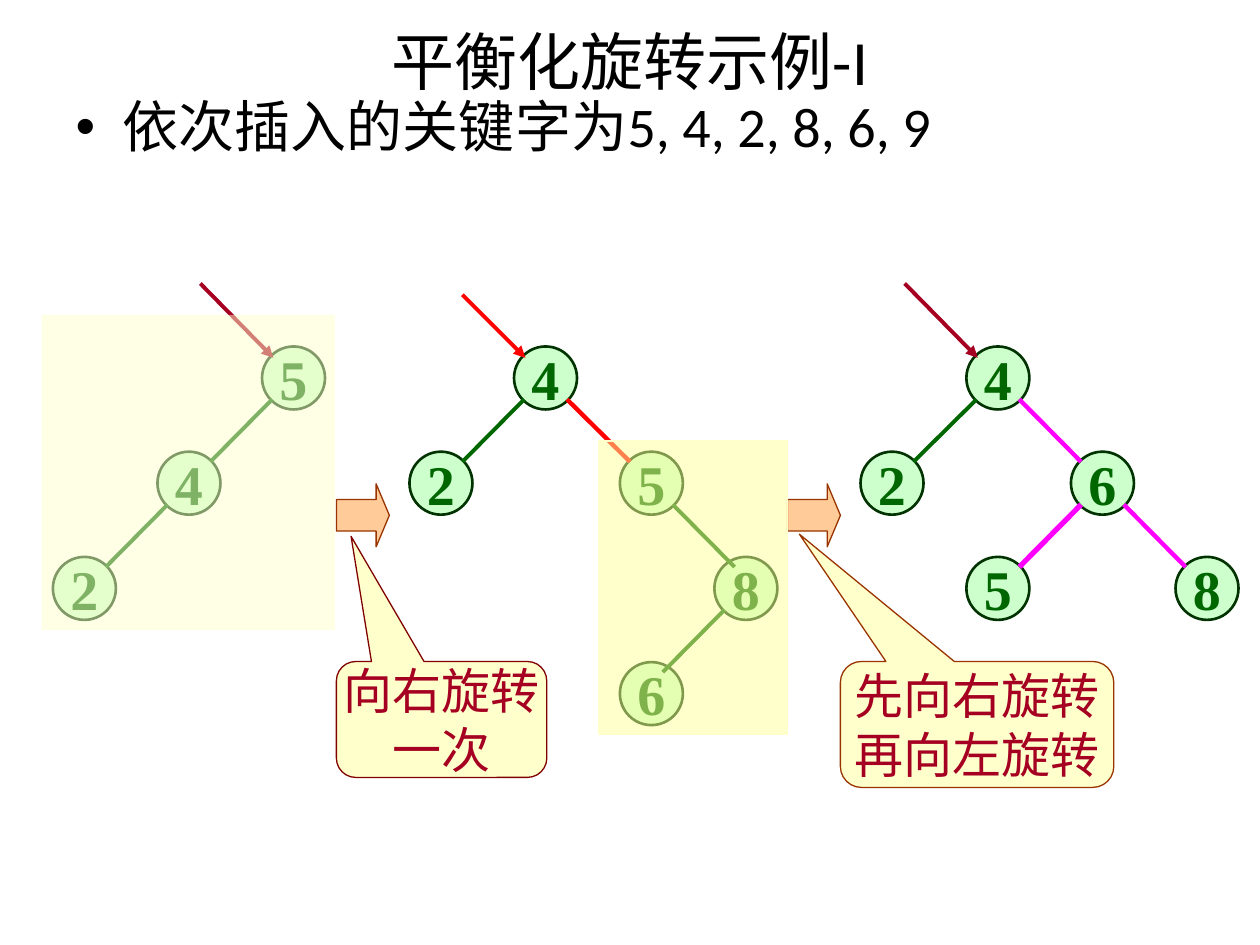
"""Build a slide that shows rotations balancing a binary search tree."""
from dataclasses import dataclass

from lxml import etree
from pptx import Presentation
from pptx import util as u
from pptx.dml.color import RGBColor
from pptx.enum import shapes, text
from pptx.oxml import ns

SHAPE = shapes.MSO_SHAPE
NODE, INSET = 0.5, 0.08
ROW_TOP, ROW_STEP = 2.75, 0.835


@dataclass(frozen=True)
class Theme:
    """Colours, fonts and type sizes of the slide."""
    ink: str = "000000"
    node: str = "CCFFCC"
    node_line: str = "003300"
    green: str = "006600"
    red: str = "FF0000"
    crimson: str = "A50021"
    magenta: str = "FF00FF"
    orange: str = "FFCC99"
    brown: str = "993300"
    maroon: str = "800000"
    cream: str = "FFFFCC"
    yellow: str = "FFFF99"
    sans: str = "Calibri"
    serif: str = "Times New Roman"
    title_size: int = 36
    large_size: int = 32
    callout_size: int = 28


T = Theme()


def write(tf, content, *, size, color, font=T.serif, bold=False,
          align=text.PP_ALIGN.CENTER, anchor=text.MSO_ANCHOR.MIDDLE, wrap=False):
    """Write each line of content as a formatted paragraph."""
    tf.word_wrap, tf.vertical_anchor = wrap, anchor
    tf.auto_size = text.MSO_AUTO_SIZE.NONE
    for i, line in enumerate(content.split("\n")):
        p = tf.add_paragraph() if i else tf.paragraphs[0]
        p.alignment, p.space_before = align, u.Pt(0)
        r = p.add_run()
        r.text = line
        r.font.name, r.font.size, r.font.bold = font, u.Pt(size), bold
        r.font.color.rgb = RGBColor.from_string(color)


def place(sp, left, top, width, height):
    """Move and size a shape, in inches."""
    sp.left, sp.top = u.Inches(left), u.Inches(top)
    sp.width, sp.height = u.Inches(width), u.Inches(height)


def add_box(s, kind, box, fill, line=None, width=0.75, alpha=None, adj=()):
    """Add a filled preset shape, optionally see-through."""
    sp = s.shapes.add_shape(kind, *map(u.Inches, box))
    sp.shadow.inherit = False
    sp.fill.solid()
    sp.fill.fore_color.rgb = RGBColor.from_string(fill)
    if alpha:
        color = sp.fill._xPr.find(".//" + ns.qn("a:srgbClr"))
        etree.SubElement(color, ns.qn("a:alpha"), val=str(alpha * 1000))
    if line:
        sp.line.color.rgb = RGBColor.from_string(line)
        sp.line.width = u.Pt(width)
    else:
        sp.line.fill.background()
    for i, value in enumerate(adj):
        sp.adjustments[i] = value
    return sp


def add_line(s, start, end, color, width=2.25, arrow=False):
    """Add a straight line, optionally with an arrowhead at its end."""
    ends = map(u.Inches, (*start, *end))
    ln = s.shapes.add_connector(shapes.MSO_CONNECTOR.STRAIGHT, *ends)
    ln.line.color.rgb = RGBColor.from_string(color)
    ln.line.width = u.Pt(width)
    if arrow:
        etree.SubElement(ln.line._get_or_add_ln(), ns.qn("a:tailEnd"), type="triangle")
    etree.SubElement(ln._element.spPr, ns.qn("a:effectLst"))


def add_tree(s, nodes, edges, pointer_color, pointer_dx=0.58, pointer_dy=0.59):
    """Draw a tree from {label: (left, row)} whose first node is the root."""
    at = {label: (x, ROW_TOP + row * ROW_STEP) for label, (x, row) in nodes.items()}
    for label, (x, y) in at.items():
        sp = add_box(s, SHAPE.OVAL, (x, y, NODE, NODE), T.node, T.node_line, 1.5)
        write(sp.text_frame, label, size=T.large_size, color=T.green, bold=True)
    for parent, child, color, width, overrun in edges:
        (px, py), (cx, cy) = at[parent], at[child]
        side = 1 if cx > px else -1
        near, far = (NODE - INSET, INSET) if side > 0 else (INSET, NODE - INSET)
        add_line(s, (px + near, py + NODE - INSET),
                 (cx + far + side * overrun, cy + INSET), color, width)
    x, y = next(iter(at.values()))
    x, y = x + 0.09, y + 0.09
    add_line(s, (x - pointer_dx, y - pointer_dy), (x, y), pointer_color, arrow=True)


def add_step(s, left):
    """Add the block arrow that leads to the next tree."""
    add_box(s, SHAPE.RIGHT_ARROW, (left, 3.84, 0.42, 0.5), T.orange, T.brown,
            adj=(0.5, 0.25))


def add_callout(s, box, content, line, tip):
    """Add a rounded callout whose tip is given relative to its size."""
    sp = add_box(s, SHAPE.ROUNDED_RECTANGULAR_CALLOUT, box, T.cream, line,
                 adj=(*tip, 0.167))
    write(sp.text_frame, content, size=T.callout_size, color=T.crimson)


def add_headings(s):
    """Fill the title and body placeholders."""
    title, body = s.shapes.title, s.placeholders[1]
    place(title, 0.5, -0.03, 9, 1.02)
    write(title.text_frame, "平衡化旋转示例-I", size=T.title_size, color=T.ink,
          font=T.sans, wrap=True)
    place(body, 0.5, 0.68, 9, 6.82)
    write(body.text_frame, "依次插入的关键字为5, 4, 2, 8, 6, 9", size=T.large_size,
          color=T.ink, font=T.sans, wrap=True, align=text.PP_ALIGN.LEFT,
          anchor=text.MSO_ANCHOR.TOP)


def main():
    """Build and save the slide."""
    prs = Presentation()
    prs.slide_width, prs.slide_height = u.Inches(10), u.Inches(7.5)
    s = prs.slides.add_slide(prs.slide_layouts[1])
    add_headings(s)

    add_tree(s, {"5": (2.08, 0), "4": (1.25, 1), "2": (0.42, 2)},
             [("5", "4", T.green, 2.25, 0), ("4", "2", T.green, 2.25, 0)], T.crimson)
    add_step(s, 2.67)
    add_tree(s, {"4": (4.08, 0), "2": (3.25, 1), "5": (4.92, 1),
                 "8": (5.67, 2), "6": (4.92, 3)},
             [("4", "2", T.green, 2.25, 0), ("4", "5", T.red, 2.5, 0),
              ("5", "8", T.green, 2.25, 0.08), ("8", "6", T.green, 2.25, 0.08)],
             T.red, pointer_dx=0.5, pointer_dy=0.5)
    add_step(s, 6.25)
    add_box(s, SHAPE.RECTANGLE, (4.75, 3.5, 1.5, 2.33), T.yellow, T.cream, alpha=50)
    add_tree(s, {"4": (7.67, 0), "2": (6.83, 1), "6": (8.5, 1),
                 "5": (7.67, 2), "8": (9.33, 2)},
             [("4", "2", T.green, 2.25, 0), ("4", "6", T.magenta, 2.5, 0),
              ("6", "5", T.magenta, 3, 0), ("6", "8", T.magenta, 2.5, 0)], T.crimson)

    add_callout(s, (2.67, 5.25, 1.67, 0.92), "向右旋转\n一次", T.maroon, (-0.43, -1.58))
    add_callout(s, (6.67, 5.25, 2.17, 1), "先向右旋转\n再向左旋转", T.brown,
                (-0.65, -1.51))
    add_box(s, SHAPE.RECTANGLE, (0.33, 2.5, 2.33, 2.5), T.cream, alpha=50)
    prs.save("out.pptx")


if __name__ == "__main__":
    main()
